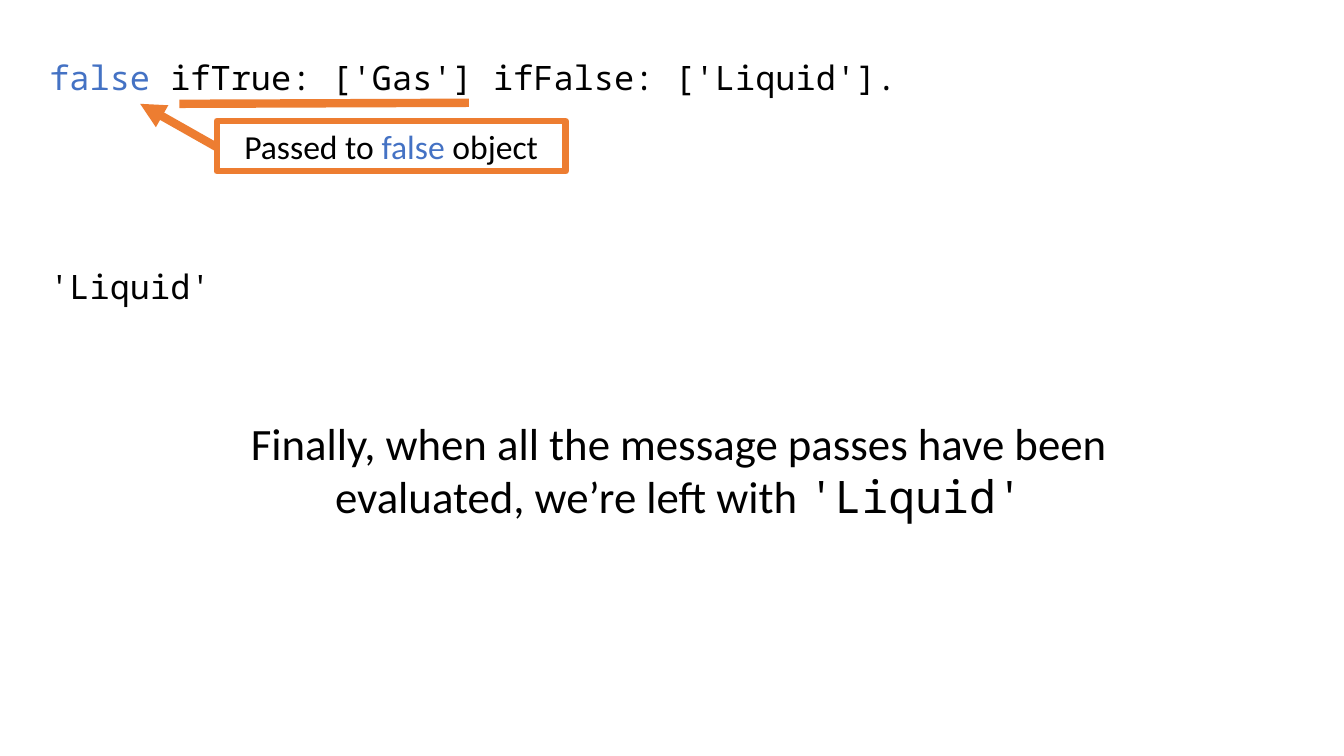
import dataclasses

import pptx
import pptx.dml.color
import pptx.enum.shapes
import pptx.enum.text
import pptx.oxml.ns
import pptx.util
from lxml import etree

Inches = pptx.util.Inches
Align = pptx.enum.text.PP_ALIGN


@dataclasses.dataclass(frozen=True)
class Theme:
    ink: str = "000000"
    keyword: str = "4472C4"
    accent: str = "ED7D31"
    body_font: str = "Calibri"
    code_font: str = "Noto Sans Mono"
    code_size: int = 24
    message_size: int = 32
    border: float = 4.5
    stroke: float = 6


def rgb(value):
    return pptx.dml.color.RGBColor.from_string(value)


def add_span(para, text, font, size, color):
    span = para.add_run()
    span.text = text
    span.font.name = font
    span.font.size = pptx.util.Pt(size)
    span.font.color.rgb = rgb(color)


class SlideBuilder:
    def __init__(self, page, theme):
        self.page = page
        self.theme = theme

    def fill_text(self, shape, spans, align=Align.LEFT, size=None):
        """Write spans of (text, format overrides) into a shape."""
        shape.text_frame.word_wrap = True
        para = shape.text_frame.paragraphs[0]
        para.alignment = align
        for text, changes in spans:
            style = {"font": self.theme.body_font, "color": self.theme.ink,
                     "size": size or self.theme.code_size}
            add_span(para, text, **(style | changes))

    def text(self, left, top, width, height, spans, **style):
        box = self.page.shapes.add_textbox(
            Inches(left), Inches(top), Inches(width), Inches(height))
        self.fill_text(box, spans, **style)

    def callout(self, left, top, width, height, spans):
        box = self.page.shapes.add_shape(
            pptx.enum.shapes.MSO_SHAPE.RECTANGLE,
            Inches(left), Inches(top), Inches(width), Inches(height))
        box.shadow.inherit = False
        box.fill.background()
        box.line.color.rgb = rgb(self.theme.accent)
        box.line.width = pptx.util.Pt(self.theme.border)
        self.fill_text(box, spans, align=Align.CENTER)

    def line(self, start, end, arrow=False):
        line = self.page.shapes.add_connector(
            pptx.enum.shapes.MSO_CONNECTOR.STRAIGHT,
            *map(Inches, start + end))
        line.line.color.rgb = rgb(self.theme.accent)
        line.line.width = pptx.util.Pt(self.theme.stroke)
        qn = pptx.oxml.ns.qn
        if arrow:
            outline = line.line._get_or_add_ln()
            etree.SubElement(outline, qn("a:tailEnd"), type="triangle")
        etree.SubElement(line._element.spPr, qn("a:effectLst"))


def main():
    deck = pptx.Presentation()
    deck.slide_width, deck.slide_height = Inches(13.33), Inches(7.5)
    theme = Theme()
    slide = SlideBuilder(deck.slides.add_slide(deck.slide_layouts[6]), theme)
    code = {"font": theme.code_font}
    keyword = {"color": theme.keyword}

    # Expression with its underlined message
    slide.text(0.39, 0.52, 12.71, 0.5, [
        ("false ", code | keyword),
        ("ifTrue: ['Gas'] ifFalse: ['Liquid'].", code)])
    slide.line((1.78, 1.03), (4.65, 1.02))

    # Callout pointing at the receiver
    slide.callout(2.15, 1.2, 3.46, 0.5, [
        ("Passed to ", {}), ("false", keyword), (" object", {})])
    slide.line((2.15, 1.46), (1.39, 1.03), arrow=True)

    # Result and explanation
    slide.text(0.39, 2.59, 12.71, 0.5, [("'Liquid'", code)])
    slide.text(1.99, 4.07, 9.49, 1.18, [
        ("Finally, when all the message passes have been evaluated, "
         "we’re left with ", {}),
        ("'Liquid'", code)], align=Align.CENTER, size=theme.message_size)

    deck.save("out.pptx")


if __name__ == "__main__":
    main()
